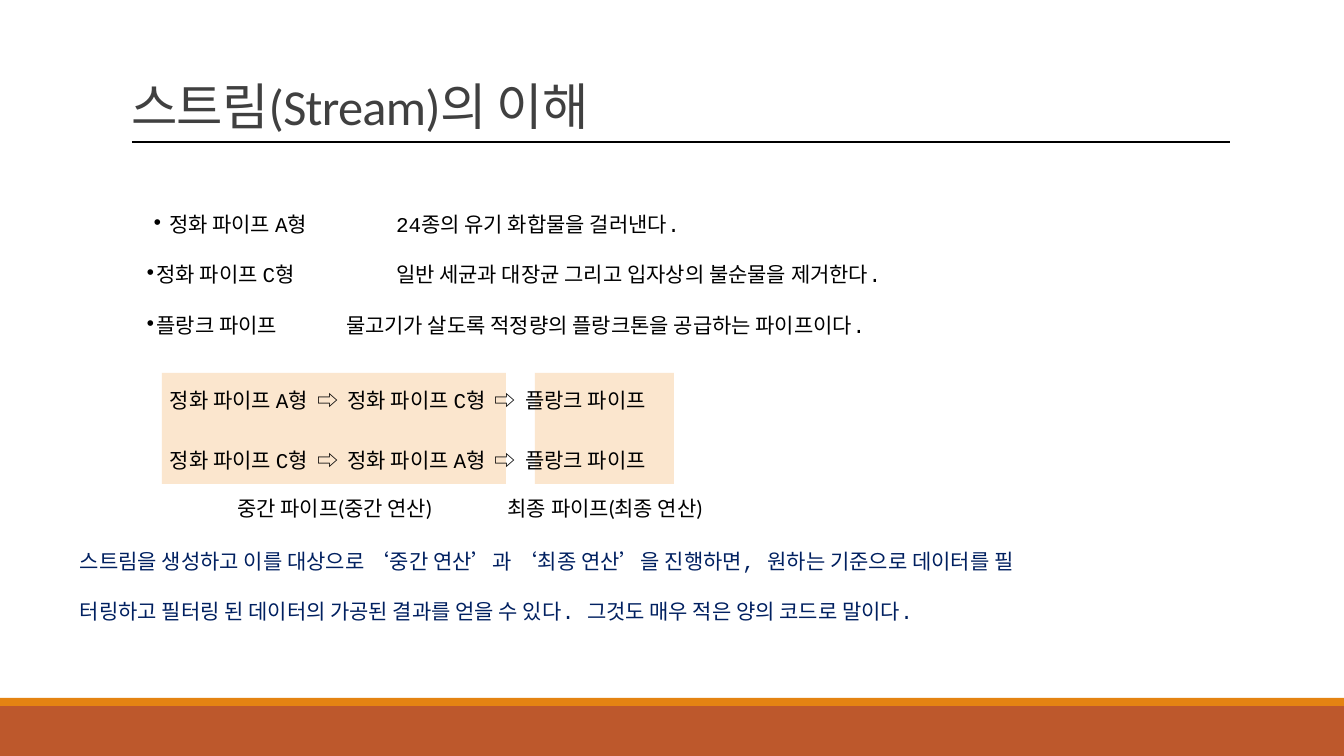
from lxml import etree
from pptx import Presentation
from pptx import util as u
from pptx.dml.color import RGBColor
from pptx.enum import shapes, text
from pptx.oxml.ns import qn

TITLE = "스트림(Stream)의 이해"
# text, bullet left px, text left px, description left px
PIPES = [
    ("정화 파이프 A형\t24종의 유기 화합물을 걸러낸다.", 7, 25, 252),
    ("정화 파이프 C형\t일반 세균과 대장균 그리고 입자상의 불순물을 제거한다.", 0, 12, 252),
    ("플랑크 파이프\t물고기가 살도록 적정량의 플랑크톤을 공급하는 파이프이다.", 0, 12, 202),
]
# first pipe, second pipe, top px
FLOWS = [("A", "C", 383), ("C", "A", 443)]
# left px, width px
STAGES = [(162, 344), (535, 139)]
# text, left px, width px
CAPTIONS = [("최종 파이프(최종 연산)", 486, 238), ("중간 파이프(중간 연산)", 216, 237)]
SUMMARY = [
    "스트림을 생성하고 이를 대상으로 ‘중간 연산’과 ‘최종 연산’을 진행하면, 원하는 기준으로 데이터를 필",
    "터링하고 필터링 된 데이터의 가공된 결과를 얻을 수 있다. 그것도 매우 적은 양의 코드로 말이다.",
]
# top px, height px, colour
BANDS = [(706, 50, "BD582C"), (698, 8, "E48312")]
WIDTH, HEIGHT = 1344, 756
BLACK, NAVY, GREY, PEACH = "000000", "002060", "404040", "FBE6CE"


def px(length):
    return u.Emu(round(length * 914400 / 100.8))


def colour(value):
    return RGBColor.from_string(value)


def place(shape, left, top, width, height):
    shape.left, shape.top = px(left), px(top)
    shape.width, shape.height = px(width), px(height)


def style(font, name, size, value):
    font.name, font.size = name, u.Pt(size)
    font.color.rgb = colour(value)


def add_rect(page, left, top, width, height, fill):
    rect = page.shapes.add_shape(
        shapes.MSO_SHAPE.RECTANGLE, px(left), px(top), px(width), px(height))
    rect.shadow.inherit = False
    rect.fill.solid()
    rect.fill.fore_color.rgb = colour(fill)
    rect.line.fill.background()


def add_text(page, left, top, width, height):
    """Add a wrapping text box and return its text frame."""
    box = page.shapes.add_textbox(px(left), px(top), px(width), px(height))
    box.text_frame.word_wrap = True
    return box.text_frame


def add_bullet(para, bullet_left, text_left, tab_left):
    props = para._p.get_or_add_pPr()
    props.set("marL", str(px(text_left)))
    props.set("indent", str(px(bullet_left - text_left)))
    etree.SubElement(props, qn("a:buFont"), typeface="Courier New")
    etree.SubElement(props, qn("a:buChar"), char="•")
    tabs = etree.SubElement(props, qn("a:tabLst"))
    etree.SubElement(tabs, qn("a:tab"), pos=str(px(tab_left)), algn="l")


def fill_lines(frame, lines, value):
    """Write double-spaced paragraphs."""
    frame.text = "\n".join(lines)
    for para, line in zip(frame.paragraphs, lines):
        para.text = line
        para.line_spacing = 2.0
        para.space_before = u.Pt(0)
        style(para.font, "Courier New", 15, value)


def add_title(page):
    title = page.shapes.title
    place(title, 121, 14, 1109, 127)
    frame = title.text_frame
    frame.text = TITLE
    frame.vertical_anchor = text.MSO_ANCHOR.BOTTOM
    frame.auto_size = text.MSO_AUTO_SIZE.NONE
    para = frame.paragraphs[0]
    para.alignment = text.PP_ALIGN.LEFT
    para.line_spacing = 0.85
    style(para.font, "Calibri", 36, GREY)
    para.runs[0].font._element.set("spc", "-50")
    rule = page.shapes.add_connector(
        shapes.MSO_CONNECTOR.STRAIGHT, px(132), px(142), px(1230), px(142))
    rule.line.color.rgb = colour(BLACK)
    rule.line.width = u.Pt(1)
    etree.SubElement(rule._element.spPr, qn("a:effectLst"))


def add_pipes(page):
    body = page.placeholders[1]
    place(body, 134, 181, 894, 163)
    frame = body.text_frame
    frame.auto_size = text.MSO_AUTO_SIZE.NONE
    fill_lines(frame, [pipe[0] for pipe in PIPES], BLACK)
    for para, (_, *stops) in zip(frame.paragraphs, PIPES):
        add_bullet(para, *stops)


def add_flow(page, first, second, top):
    para = add_text(page, 160, top, 609, 35).paragraphs[0]
    style(para.font, "Lato", 15, BLACK)
    parts = ["정화 파이프 ", first, "형  ⇨  정화 파이프 ", second, "형  ⇨  플랑크 파이프"]
    for part in parts:
        span = para.add_run()
        span.text = part
        if part in (first, second):
            span.font.name = "Courier New"


def main():
    deck = Presentation()
    deck.slide_width, deck.slide_height = px(WIDTH), px(HEIGHT)
    page = deck.slides.add_slide(deck.slide_layouts[1])
    for top, height, fill in BANDS:
        add_rect(page, 0, top, WIDTH, height, fill)
    add_title(page)
    add_pipes(page)
    for left, width in STAGES:
        add_rect(page, left, 373, width, 111, PEACH)
    for flow in FLOWS:
        add_flow(page, *flow)
    for caption, left, width in CAPTIONS:
        para = add_text(page, left, 491, width, 35).paragraphs[0]
        para.text = caption
        para.alignment = text.PP_ALIGN.CENTER
        style(para.font, "Lato", 15, BLACK)
    fill_lines(add_text(page, 70, 518, 1074, 112), SUMMARY, NAVY)
    deck.save("out.pptx")


if __name__ == "__main__":
    main()
